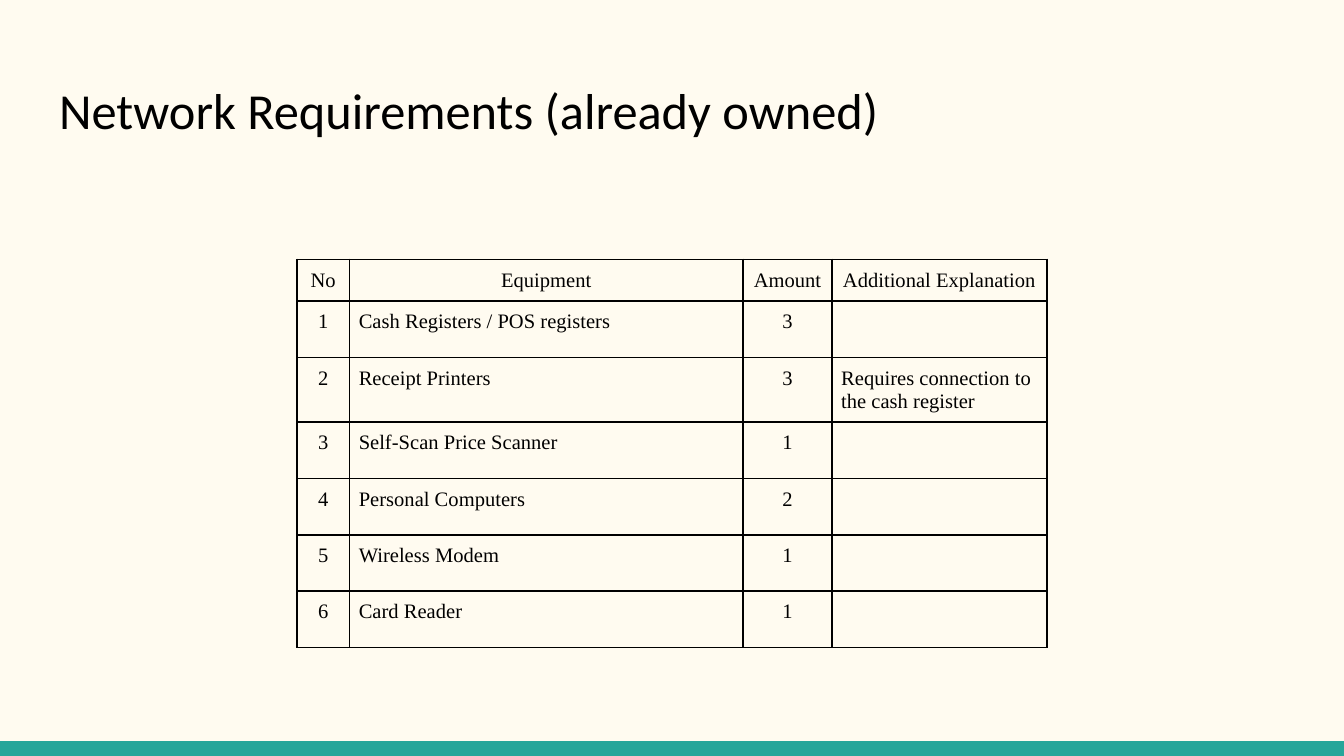
from lxml import etree
from pptx import Presentation
from pptx.dml.color import RGBColor
from pptx.enum.shapes import MSO_SHAPE
from pptx.enum.text import MSO_ANCHOR, PP_ALIGN
from pptx.oxml.ns import qn
from pptx.util import Inches, Pt

RECT = MSO_SHAPE.RECTANGLE
LEFT, CENTER = PP_ALIGN.LEFT, PP_ALIGN.CENTER
TOP = MSO_ANCHOR.TOP

THEME = {
    "background": RGBColor.from_string("FFFBF0"),
    "accent": RGBColor.from_string("26A69A"),
    "text": RGBColor.from_string("000000"),
    "title_font": "Calibri",
    "title_size": Pt(27),
    "table_font": "Times New Roman",
    "table_size": Pt(11),
    "border": "000000",
    "border_width": Pt(1),
}


def apply(obj, formats):
    for name, value in formats.items():
        setattr(obj, name, value)


def add_borders(cell):
    tcPr = cell._tc.get_or_add_tcPr()
    for i, side in enumerate(("a:lnL", "a:lnR", "a:lnT", "a:lnB")):
        ln = etree.Element(qn(side), w=str(THEME["border_width"]))
        fill = etree.SubElement(ln, qn("a:solidFill"))
        etree.SubElement(fill, qn("a:srgbClr"), val=THEME["border"])
        tcPr.insert(i, ln)


# 16:9 slide
prs = Presentation()
prs.slide_width = Inches(10)
prs.slide_height = Inches(10 * 9 / 16)
s = prs.slides.add_slide(prs.slide_layouts[5])
s.background.fill.solid()
s.background.fill.fore_color.rgb = THEME["background"]

# Bottom bar
bar_height = Inches(0.11)
bar = s.shapes.add_shape(RECT, 0, prs.slide_height - bar_height,
                         prs.slide_width, bar_height)
bar.shadow.inherit = False
bar.fill.solid()
bar.fill.fore_color.rgb = THEME["accent"]
bar.line.fill.background()

# Title
title = s.shapes.title
apply(title, {"left": Inches(0.34), "top": Inches(0.49),
              "width": Inches(9.32), "height": Inches(0.67)})
tf = title.text_frame
tf.text = "Network Requirements (already owned)"
margins = ("margin_left", "margin_right", "margin_top", "margin_bottom")
apply(tf, dict.fromkeys(margins, Inches(0.1)))
apply(tf, {"vertical_anchor": TOP, "word_wrap": True})
p = tf.paragraphs[0]
p.alignment = LEFT
r = p.runs[0]
apply(r.font, {"name": THEME["title_font"], "size": THEME["title_size"]})
r.font.color.rgb = THEME["text"]

# Equipment table
header = ("No", "Equipment", "Amount", "Additional Explanation")
equipment = [
    ("Cash Registers / POS registers", 3, ""),
    ("Receipt Printers", 3, "Requires connection to the cash register"),
    ("Self-Scan Price Scanner", 1, ""),
    ("Personal Computers", 2, ""),
    ("Wireless Modem", 1, ""),
    ("Card Reader", 1, ""),
]
rows = [header] + [(no, *item) for no, item in enumerate(equipment, 1)]
col_widths = (0.39, 2.93, 0.66, 1.6)
row_heights = (0.31, 0.42, 0.48, 0.42, 0.42, 0.42, 0.42)
centered_cols = (0, 2)

table = s.shapes.add_table(
    len(rows), len(header), Inches(2.21), Inches(1.93),
    Inches(sum(col_widths)), Inches(sum(row_heights))).table
apply(table, {"first_row": False, "horz_banding": False})
for column, width in zip(table.columns, col_widths):
    column.width = Inches(width)

for i, (values, height) in enumerate(zip(rows, row_heights)):
    table.rows[i].height = Inches(height)
    for j, value in enumerate(values):
        cell = table.cell(i, j)
        apply(cell, dict.fromkeys(margins, Inches(0.07)))
        cell.vertical_anchor = TOP
        cell.fill.background()
        add_borders(cell)
        p = cell.text_frame.paragraphs[0]
        p.alignment = CENTER if i == 0 or j in centered_cols else LEFT
        if value:
            r = p.add_run()
            r.text = str(value)
            apply(r.font, {"name": THEME["table_font"],
                           "size": THEME["table_size"]})
            r.font.color.rgb = THEME["text"]
        else:
            # Keep empty cells from stretching their row
            size = str(int(THEME["table_size"].pt * 100))
            etree.SubElement(p._p, qn("a:endParaRPr"), sz=size)

prs.save("out.pptx")
